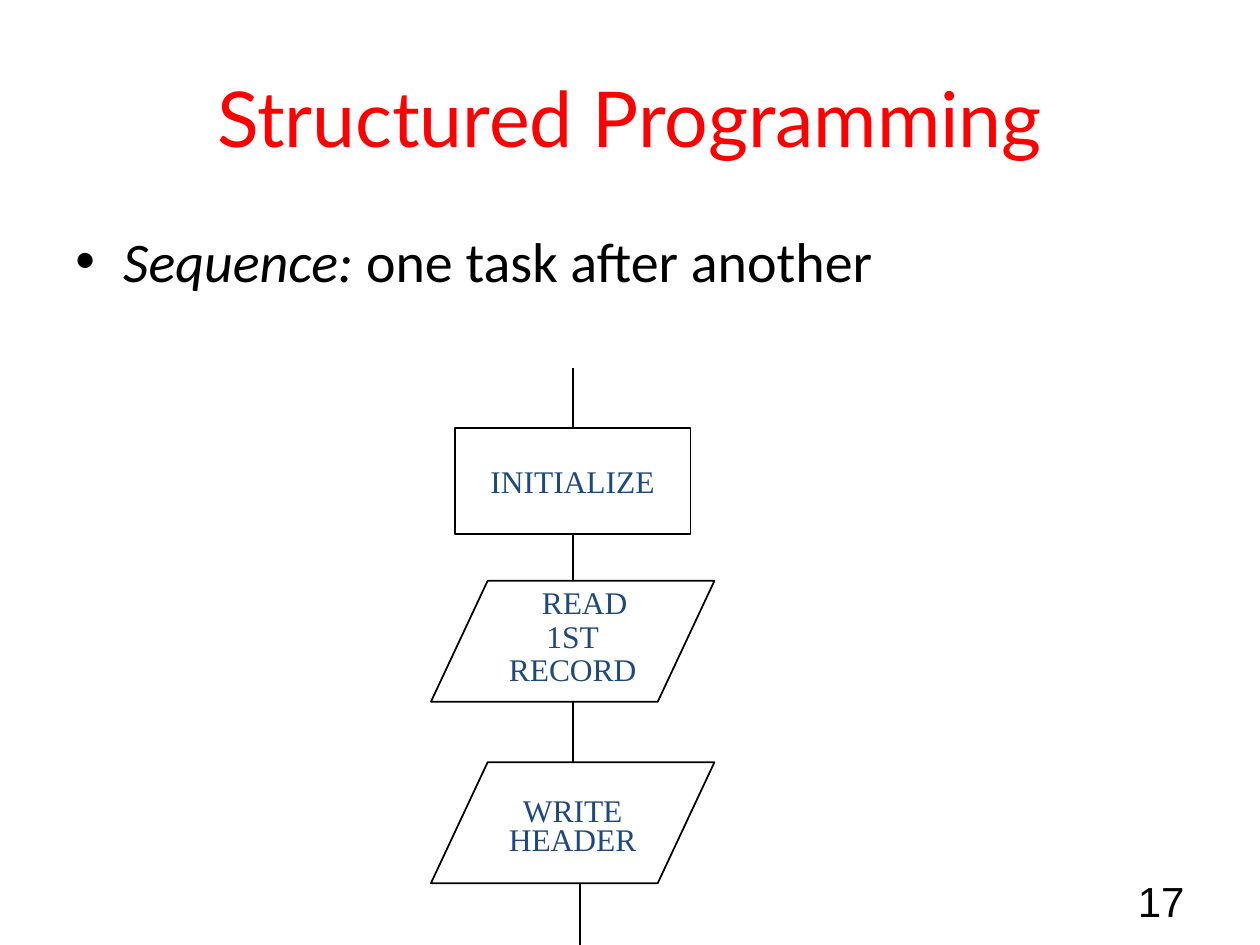
import pptx
import pptx.util
import pptx.dml.color
import pptx.enum.shapes
import pptx.enum.text
import lxml.etree

Inches, Pt = pptx.util.Inches, pptx.util.Pt
RGBColor = pptx.dml.color.RGBColor
SHAPE = pptx.enum.shapes.MSO_SHAPE
ALIGN = pptx.enum.text.PP_ALIGN
ANCHOR = pptx.enum.text.MSO_ANCHOR

BLACK = RGBColor(0, 0, 0)
RED = RGBColor(0xFF, 0, 0)
NAVY = RGBColor(0x1F, 0x49, 0x7D)
A = "{http://schemas.openxmlformats.org/drawingml/2006/main}"


def write(paragraph, text, font, size, color, italic=False, align=None,
          before=None, spacing=None, indent=0):
    run = paragraph.add_run()
    run.text = text
    run.font.name, run.font.size = font, Pt(size)
    run.font.color.rgb = color
    run.font.italic = italic
    if align is not None:
        paragraph.alignment = align
    if before is not None:
        paragraph.space_before = Pt(before)
    if spacing is not None:
        paragraph.line_spacing = spacing
    if indent:
        paragraph._p.get_or_add_pPr().set("marL", str(Inches(indent)))


def text_box(slide, left, top, width, height, anchor=ANCHOR.MIDDLE):
    frame = slide.shapes.add_textbox(
        Inches(left), Inches(top), Inches(width), Inches(height)).text_frame
    frame.word_wrap = True
    frame.vertical_anchor = anchor
    return frame.paragraphs[0]


def definition(slide, left, top, width, height):
    bullet = text_box(slide, left, top, width, height, ANCHOR.TOP)
    write(bullet, "Sequence: ", "Calibri", 32, BLACK, italic=True,
          before=6.4, indent=0.38)
    write(bullet, "one task after another", "Calibri", 32, BLACK)
    properties = bullet._p.get_or_add_pPr()
    properties.set("indent", str(-Inches(0.38)))
    lxml.etree.SubElement(properties, A + "buFont", typeface="Arial")
    lxml.etree.SubElement(properties, A + "buChar", char="\u2022")


def step(slide, kind, left, top, width, height, lines):
    """Each line is its text, line spacing and left indent."""
    box = slide.shapes.add_shape(
        kind, Inches(left), Inches(top), Inches(width), Inches(height))
    box.shadow.inherit = False
    box.fill.background()
    box.line.color.rgb, box.line.width = BLACK, Pt(1)
    frame = box.text_frame
    frame.word_wrap = True
    frame.vertical_anchor = ANCHOR.MIDDLE
    for number, (text, spacing, indent) in enumerate(lines):
        paragraph = frame.add_paragraph() if number else frame.paragraphs[0]
        write(paragraph, text, "Times New Roman", 18, NAVY,
              align=ALIGN.CENTER, before=6, spacing=spacing, indent=indent)


def flow_line(slide, x, top, bottom):
    line = slide.shapes.add_connector(
        pptx.enum.shapes.MSO_CONNECTOR.STRAIGHT,
        Inches(x), Inches(top), Inches(x), Inches(bottom))
    line.line.color.rgb, line.line.width = BLACK, Pt(1)
    lxml.etree.SubElement(line._element.spPr, A + "effectLst")


def flowchart(slide, left, top, width):
    center = left + width / 2
    process, data = SHAPE.FLOWCHART_PROCESS, SHAPE.FLOWCHART_DATA
    # Kind, offset from the top, width, height, lines of text
    steps = [
        (process, 0.48, 1.87, 0.84, [("INITIALIZE", None, 0)]),
        (data, 1.69, width, 0.96, [("READ", 0.6, 0.19), ("1ST", 0.6, 0),
                                   ("RECORD", 0.6, 0)]),
        (data, 3.13, width, 0.96, [("WRITE", None, 0), ("HEADER", 0.4, 0)]),
    ]
    line_top = top
    for kind, offset, step_width, height, lines in steps:
        step_top = top + offset
        step(slide, kind, center - step_width / 2, step_top,
             step_width, height, lines)
        flow_line(slide, center, line_top, step_top)
        line_top = step_top + height
    # The way out leaves slightly right of the center
    flow_line(slide, center + 0.06, line_top, line_top + 0.49)


def sequence_slide(deck):
    slide = deck.slides.add_slide(deck.slide_layouts[6])
    write(text_box(slide, 7.17, 6.95, 2.33, 0.4), "17", "Arial", 24, BLACK,
          align=ALIGN.RIGHT)
    write(text_box(slide, 0.5, 0.3, 9, 1.25), "Structured Programming",
          "Lato", 44, RED, align=ALIGN.CENTER)
    definition(slide, 0.5, 1.75, 9, 4.95)
    flowchart(slide, 3.42, 2.92, 2.25)


deck = pptx.Presentation()
deck.slide_width, deck.slide_height = Inches(10), Inches(7.5)
sequence_slide(deck)
deck.save("out.pptx")
